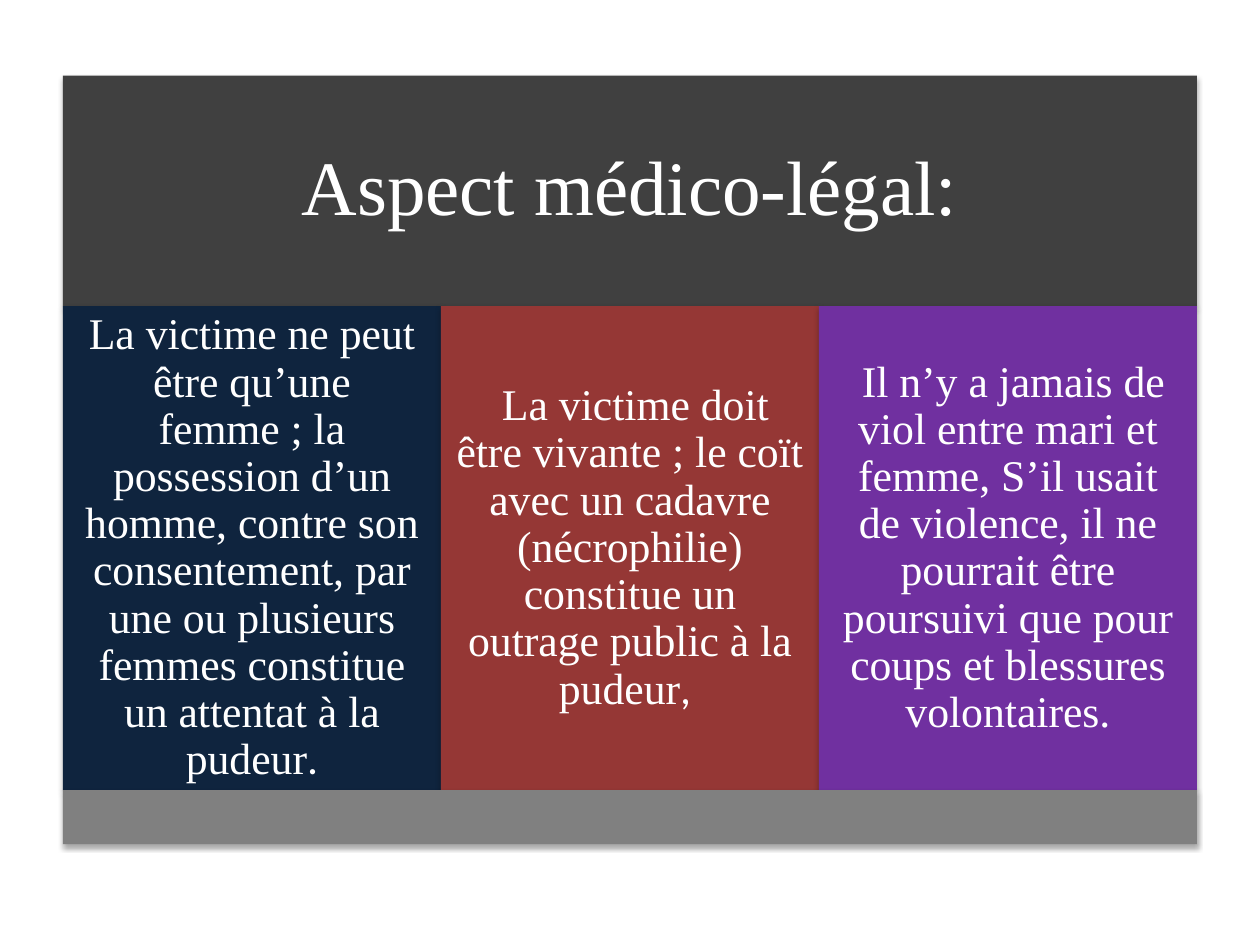
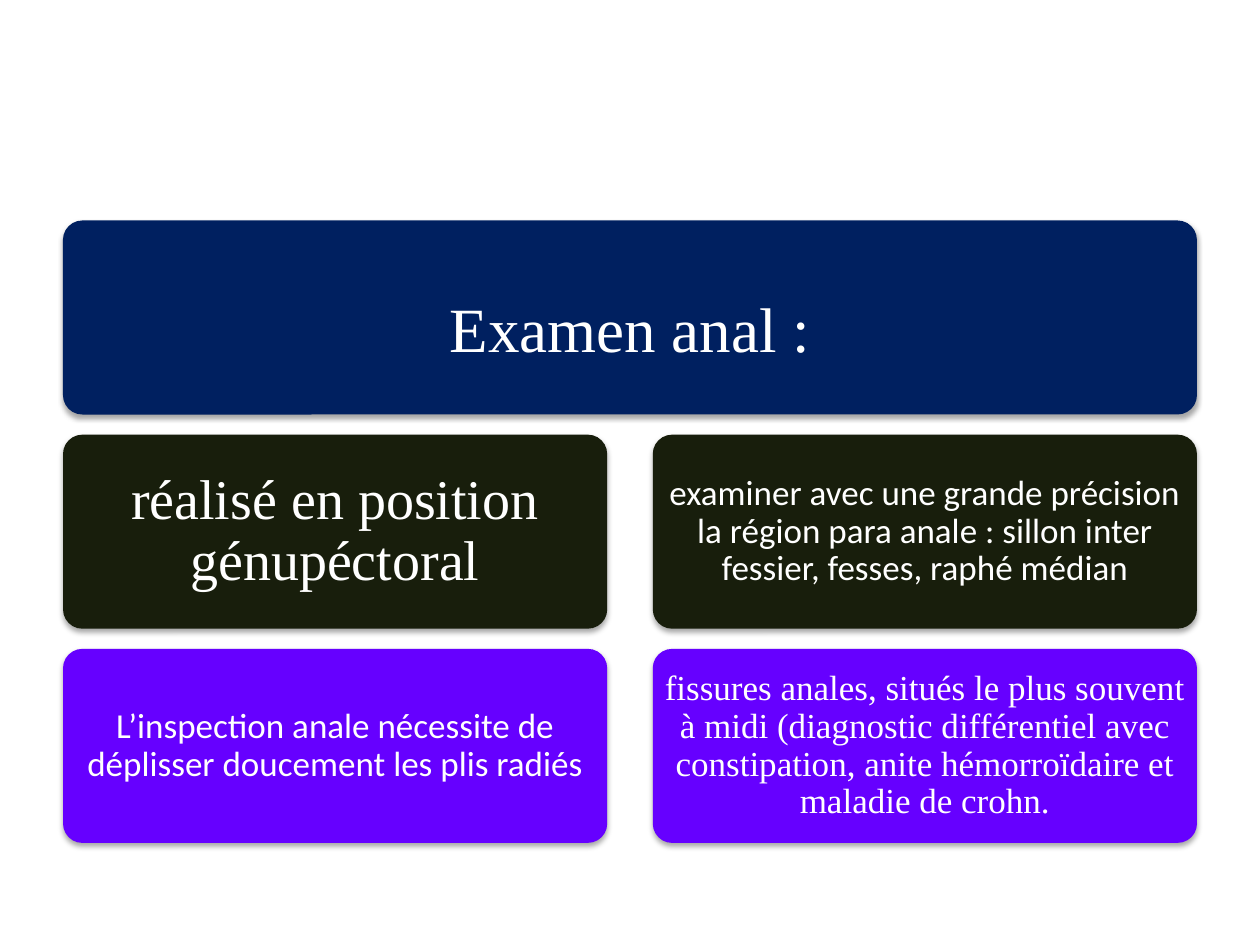
"""Build two slides of medico-legal notes laid out as coloured panels."""
from dataclasses import dataclass

from lxml.etree import SubElement
from pptx import Presentation
from pptx.dml.color import RGBColor
from pptx.enum.shapes import MSO_SHAPE
from pptx.enum.text import MSO_ANCHOR, MSO_AUTO_SIZE, PP_ALIGN
from pptx.oxml.ns import qn
from pptx.util import Pt

WHITE = RGBColor(0xFF, 0xFF, 0xFF)
CHARCOAL = RGBColor(0x40, 0x40, 0x40)
GREY = RGBColor(0x80, 0x80, 0x80)
INK = RGBColor(0x0F, 0x24, 0x3E)
BRICK = RGBColor(0x95, 0x37, 0x35)
PURPLE = RGBColor(0x70, 0x30, 0xA0)
NAVY = RGBColor(0x00, 0x20, 0x60)
OLIVE = RGBColor(0x18, 0x1E, 0x0C)
VIOLET = RGBColor(0x66, 0x00, 0xFF)

SERIF = "Times New Roman"
SANS = "Calibri"
LEFT, WIDTH = 36, 648
CORNER = 0.1
INSET_PER_POINT = 0.3
FRAME_FORMAT = {
    "word_wrap": True,
    "auto_size": MSO_AUTO_SIZE.NONE,
    "vertical_anchor": MSO_ANCHOR.MIDDLE,
}
PARAGRAPH_FORMAT = {"alignment": PP_ALIGN.CENTER, "line_spacing": 0.9}


@dataclass(frozen=True)
class Box:
    left: float
    top: float
    width: float
    height: float

    def lengths(self) -> tuple:
        return Pt(self.left), Pt(self.top), Pt(self.width), Pt(self.height)


@dataclass(frozen=True)
class Label:
    text: str
    size: float
    font: str = SERIF
    ending: str = ""


@dataclass(frozen=True)
class Panel:
    fill: RGBColor
    label: Label


def apply(target, values: dict) -> None:
    for name, value in values.items():
        setattr(target, name, value)


def add_shadow(sp) -> None:
    sp.shadow.inherit = False
    effects = sp.element.spPr.find(qn("a:effectLst"))
    shadow = SubElement(effects, qn("a:outerShdw"), blurRad=str(Pt(3.1)),
                        dist=str(Pt(1.8)), dir="5400000", rotWithShape="0")
    color = SubElement(shadow, qn("a:srgbClr"), val="000000")
    SubElement(color, qn("a:alpha"), val="35000")


def write_label(sp, label: Label, trim: float = 0, drop: float = 0) -> None:
    tf = sp.text_frame
    inset = INSET_PER_POINT * label.size - trim
    apply(tf, FRAME_FORMAT)
    apply(tf, {f"margin_{side}": Pt(inset) for side in ("left", "right", "bottom")})
    tf.margin_top = Pt(inset + drop)
    p = tf.paragraphs[0]
    apply(p, PARAGRAPH_FORMAT)
    for text, font in ((label.text, label.font), (label.ending, SANS)):
        if text:
            r = p.add_run()
            r.text = text
            apply(r.font, {"name": font, "size": Pt(label.size)})
            r.font.color.rgb = WHITE


def add_block(slide, box: Box, fill: RGBColor, rounded: bool = False):
    kind = MSO_SHAPE.ROUNDED_RECTANGLE if rounded else MSO_SHAPE.RECTANGLE
    sp = slide.shapes.add_shape(kind, *box.lengths())
    if rounded:
        sp.adjustments[0] = CORNER
    sp.fill.solid()
    sp.fill.fore_color.rgb = fill
    sp.line.fill.background()
    add_shadow(sp)
    return sp


def add_panel(slide, box: Box, panel: Panel, rounded: bool = False) -> None:
    sp = add_block(slide, box, panel.fill, rounded)
    trim = 0.29 * CORNER * box.height if rounded else 0
    write_label(sp, panel.label, trim)


def add_title(slide, box: Box, panel: Panel, rounded: bool = False,
              drop: float = 0) -> None:
    band = add_block(slide, box, panel.fill, rounded)
    title = slide.shapes.title
    apply(title, dict(zip(("left", "top", "width", "height"), box.lengths())))
    write_label(title, panel.label, drop=drop)
    band.element.addnext(title.element)


def build_legal_slide(prs) -> None:
    top, title_height, column_height, foot_height = 43.2, 131.8, 276.5, 30.8
    columns = (
        Panel(INK, Label("La victime ne peut être qu’une femme ; la possession d’un "
                         "homme, contre son consentement, par une ou plusieurs "
                         "femmes constitue un attentat à la pudeur", 25, ending=".")),
        Panel(BRICK, Label(" La victime doit être vivante ; le coït avec un cadavre "
                           "(nécrophilie) constitue un outrage public à la pudeur",
                           25, ending=", ")),
        Panel(PURPLE, Label(" Il n’y a jamais de viol entre mari et femme, S’il usait "
                            "de violence, il ne pourrait être poursuivi que pour "
                            "coups et blessures volontaires.", 25)),
    )
    slide = prs.slides.add_slide(prs.slide_layouts[5])
    add_title(slide, Box(LEFT, top, WIDTH, title_height),
              Panel(CHARCOAL, Label("Aspect médico-légal:", 44)))
    column_top = top + title_height
    column_width = WIDTH / len(columns)
    for i, panel in enumerate(columns):
        add_panel(slide, Box(LEFT + i * column_width, column_top,
                             column_width, column_height), panel)
    add_block(slide, Box(LEFT, column_top + column_height, WIDTH, foot_height), GREY)


def build_exam_slide(prs) -> None:
    top, height, row_gap, column_gap = 126, 110.9, 11.5, 26
    rows = (
        (OLIVE, (Label("réalisé en position génupéctoral", 32),
                 Label("examiner avec une grande précision la région para anale : "
                       "sillon inter fessier, fesses, raphé médian", 20, SANS))),
        (VIOLET, (Label("L’inspection anale nécessite de déplisser doucement les "
                        "plis radiés", 20, SANS),
                  Label("fissures anales, situés le plus souvent à midi (diagnostic "
                        "différentiel avec constipation, anite hémorroïdaire et "
                        "maladie de crohn.", 20))),
    )
    slide = prs.slides.add_slide(prs.slide_layouts[5])
    add_title(slide, Box(LEFT, top, WIDTH, height),
              Panel(NAVY, Label("Examen anal :", 36)), rounded=True, drop=17)
    width = (WIDTH - column_gap) / 2
    for row, (fill, labels) in enumerate(rows, start=1):
        for column, label in enumerate(labels):
            box = Box(LEFT + column * (width + column_gap),
                      top + row * (height + row_gap), width, height)
            add_panel(slide, box, Panel(fill, label), rounded=True)


def main() -> None:
    prs = Presentation()
    prs.slide_width, prs.slide_height = Pt(720), Pt(540)
    build_legal_slide(prs)
    build_exam_slide(prs)
    prs.save("out.pptx")


if __name__ == "__main__":
    main()
